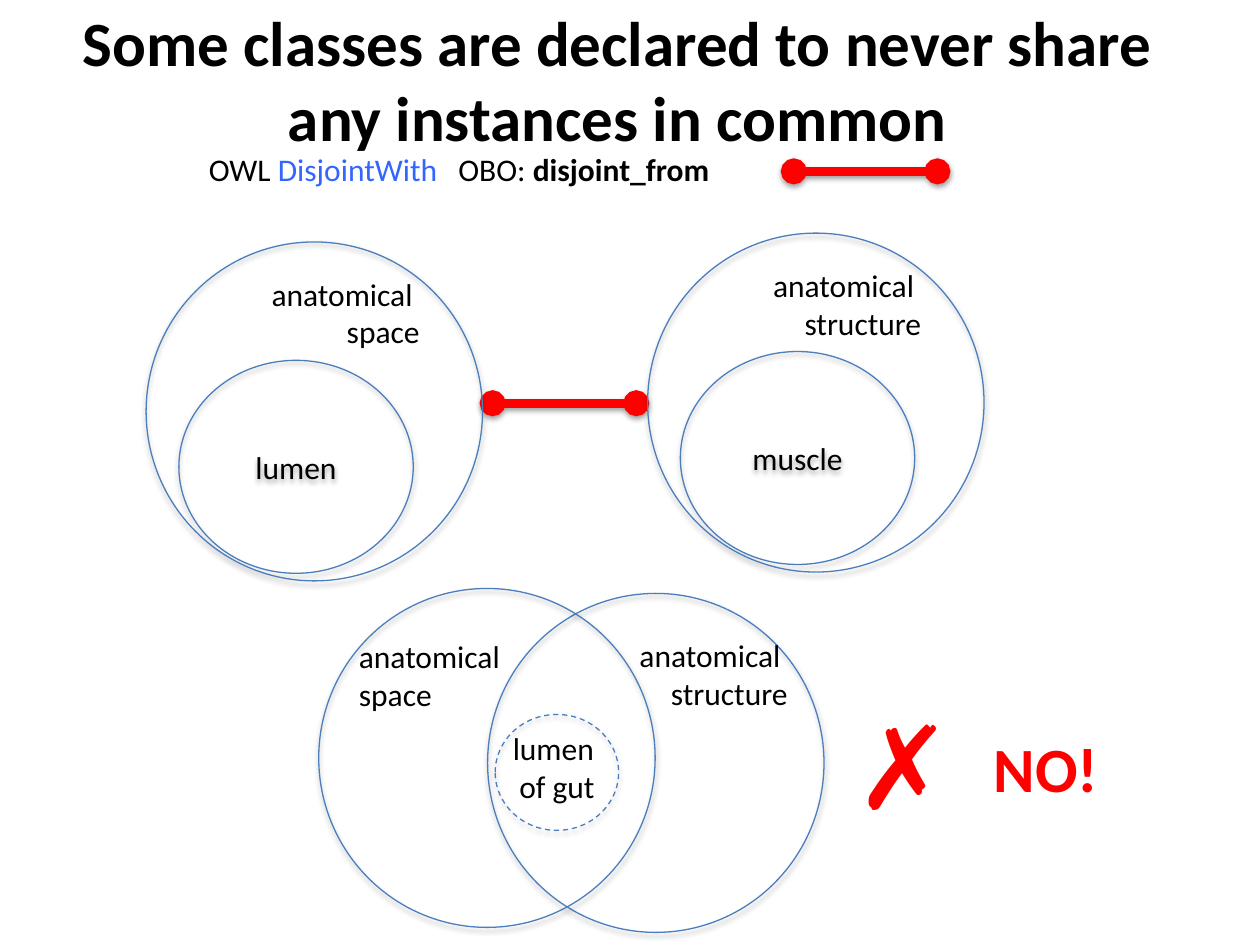
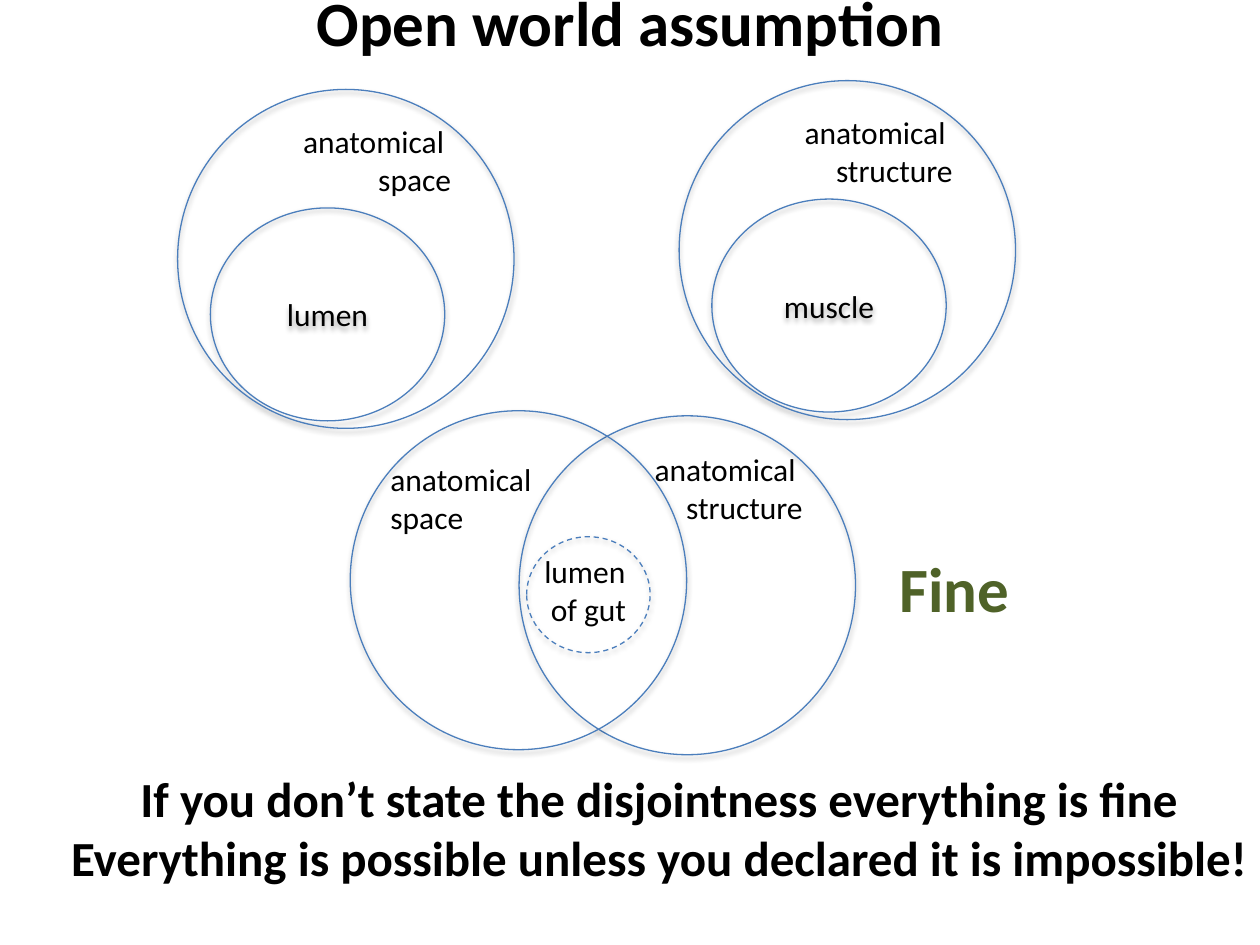
from lxml.etree import SubElement
from pptx import Presentation
from pptx.dml.color import RGBColor
from pptx.enum.dml import MSO_LINE
from pptx.enum.shapes import MSO_CONNECTOR, MSO_SHAPE
from pptx.enum.text import MSO_ANCHOR, PP_ALIGN
from pptx.oxml.ns import qn
from pptx.util import Inches, Pt

BLACK = RGBColor(0x00, 0x00, 0x00)
OUTLINE = RGBColor(0x4B, 0x7E, 0xBC)
RED = RGBColor(0xFF, 0x00, 0x00)
BLUE = RGBColor(0x33, 0x66, 0xFF)
GREEN = RGBColor(0x4F, 0x62, 0x28)

LEFT, CENTER, RIGHT = PP_ALIGN.LEFT, PP_ALIGN.CENTER, PP_ALIGN.RIGHT
BODY = {"name": "Calibri", "size": Pt(18), "bold": False}
HEADING = {"name": "Calibri", "size": Pt(36), "bold": True}
CONCLUSION = {**HEADING, "size": Pt(28)}
CROSS = {"name": "Arial", "size": Pt(66), "bold": False}


def write(page, at, lines, style=BODY, align=LEFT, color=BLACK,
          wrap=False, anchor=MSO_ANCHOR.TOP, box=None):
    box = box or page.shapes.add_textbox(*map(Inches, at))
    frame = box.text_frame
    frame.word_wrap = wrap
    frame.vertical_anchor = anchor
    for number, line in enumerate(lines):
        para = frame.add_paragraph() if number else frame.paragraphs[0]
        para.alignment = align
        spans = [(line, {})] if isinstance(line, str) else line
        for text, changes in spans:
            span = para.add_run()
            span.text = text
            values = {"color": color, **style, **changes}
            span.font.color.rgb = values.pop("color")
            for name, value in values.items():
                setattr(span.font, name, value)
    return box


def cast_shadow(shape, distance, opacity):
    properties = shape._element.spPr
    effects = properties.find(qn("a:effectLst"))
    if effects is None:
        effects = SubElement(properties, qn("a:effectLst"))
    shadow = SubElement(effects, qn("a:outerShdw"), blurRad="40000", dist=str(Pt(distance)),
                        dir="5400000", rotWithShape="0")
    tint = SubElement(shadow, qn("a:srgbClr"), val=str(BLACK))
    SubElement(tint, qn("a:alpha"), val=str(opacity * 1000))


deck = Presentation()
deck.slide_width, deck.slide_height = Inches(10), Inches(7.5)

pages = [
    {"title": "Some classes are declared to never share any instances in common",
     "title_at": (0.4, 0, 9, 1.25), "pair": (1.16, 1.92), "overlap": (2.53, 4.67),
     "structure_label": (4.88, 5), "disjoint_links": [(3.91, 3.2), (6.3, 1.36)],
     "verdict": "NO!", "verdict_at": (7.79, 5.74, 1.04, 0.71), "verdict_color": RED},
    {"title": "Open world assumption",
     "title_at": (0, -0.46, 10, 1.25), "pair": (1.41, 0.71), "overlap": (2.78, 3.26),
     "structure_label": (5, 3.52), "disjoint_links": [],
     "verdict": "Fine", "verdict_at": (7.04, 4.31, 1.08, 0.71), "verdict_color": GREEN},
]

for content in pages:
    page = deck.slides.add_slide(deck.slide_layouts[6])
    pair_x, pair_y = content["pair"]
    overlap_x, overlap_y = content["overlap"]

    for x, y in content["disjoint_links"]:
        link = page.shapes.add_connector(MSO_CONNECTOR.STRAIGHT, Inches(x), Inches(y),
                                         Inches(x + 1.14), Inches(y))
        link.line.color.rgb = RED
        link.line.width = Pt(5)
        for end in ("a:headEnd", "a:tailEnd"):
            SubElement(link.line._get_or_add_ln(), qn(end), type="oval")
        cast_shadow(link, 1.6, 38)

    circles = [
        (overlap_x + 1.4, overlap_y + 1, 0.98, 0.92, None),
        (overlap_x + 1.34, overlap_y + 0.04, 2.67, 2.69, None),
        (overlap_x, overlap_y, 2.67, 2.69, None),
    ]
    for column, (whole, part) in enumerate([("space", "lumen"), ("structure", "muscle")]):
        x, y = pair_x + column * 3.98, pair_y - column * 0.07
        circles += [(x + 0.26, y + 0.94, 1.86, 1.69, part), (x, y, 2.67, 2.69, None)]
        write(page, (x + 0.8, y + 0.21, 1.47, 0.71), ["anatomical ", whole], align=RIGHT)

    for *at, label in circles:
        circle = page.shapes.add_shape(MSO_SHAPE.OVAL, *map(Inches, at))
        circle.fill.background()
        circle.line.color.rgb = OUTLINE
        circle.line.width = Pt(0.75)
        if at[2] < 1:
            circle.line.dash_style = MSO_LINE.DASH
        circle.shadow.inherit = False
        cast_shadow(circle, 1.8, 35)
        if label:
            write(page, at, [label], align=CENTER, wrap=True,
                  anchor=MSO_ANCHOR.MIDDLE, box=circle)

    write(page, (overlap_x + 1.23, overlap_y + 1.07, 1.32, 1.01), ["lumen ", "of gut"],
          align=CENTER, wrap=True)
    write(page, (overlap_x + 0.22, overlap_y + 0.34, 1.47, 0.71), ["anatomical", "space"])
    write(page, (*content["structure_label"], 1.47, 0.71), ["anatomical ", "structure"], align=RIGHT)
    write(page, content["title_at"], [content["title"]], HEADING, CENTER,
          wrap=True, anchor=MSO_ANCHOR.MIDDLE)
    write(page, content["verdict_at"], [content["verdict"]], HEADING, color=content["verdict_color"])

disjoint_page, open_world_page = deck.slides

syntax = write(disjoint_page, (1.56, 1.14, 4.79, 0.4), [[
    ("OWL ", {}), ("DisjointWith\t", {"color": BLUE}),
    ("OBO: ", {}), ("disjoint_from", {"bold": True})]])
tabs = SubElement(syntax.text_frame.paragraphs[0]._p.get_or_add_pPr(), qn("a:tabLst"))
SubElement(tabs, qn("a:tab"), pos=str(Inches(1.98)), algn="l")

write(disjoint_page, (6.69, 5.46, 0.4, 1.21), ["✗"], CROSS, color=RED, wrap=True)

write(open_world_page, (0.46, 6.05, 9.54, 1.51), [
    "If you don’t state the disjointness everything is fine",
    "Everything is possible unless you declared it is impossible!",
], CONCLUSION, CENTER, wrap=True)

deck.save("out.pptx")
